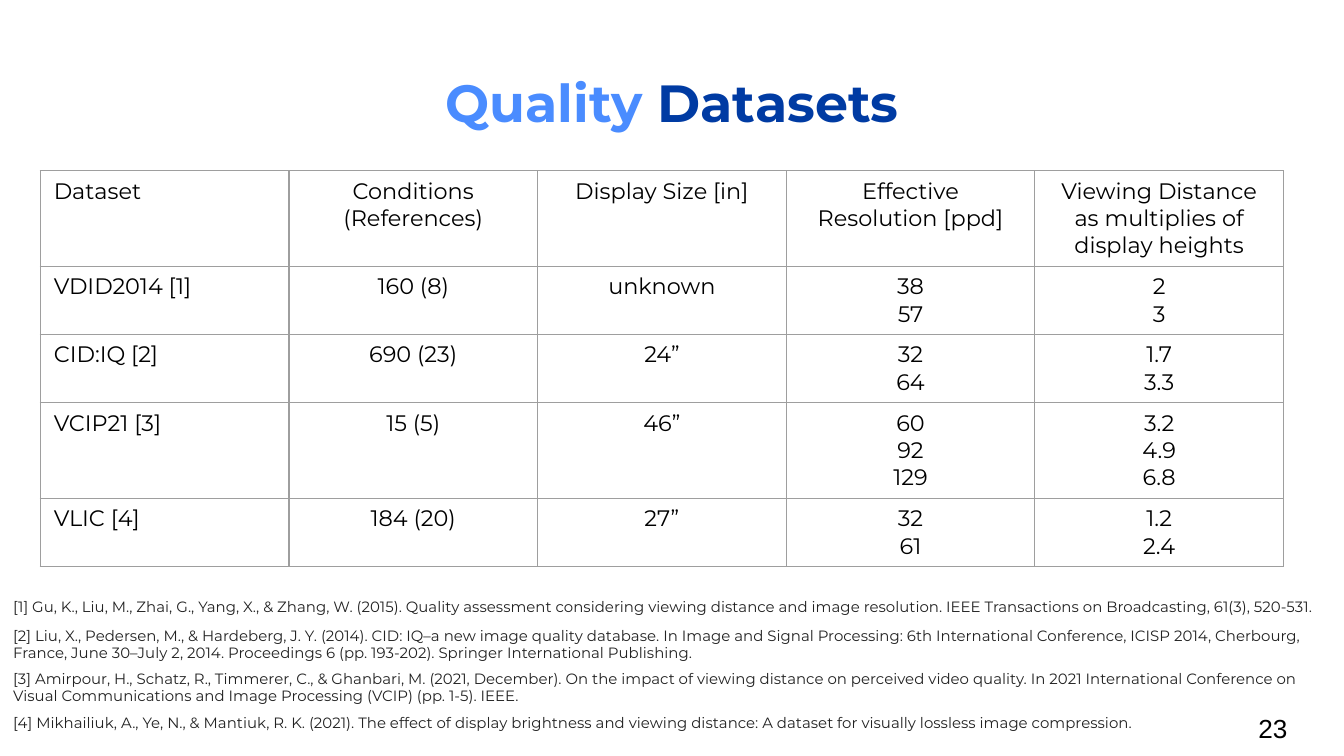
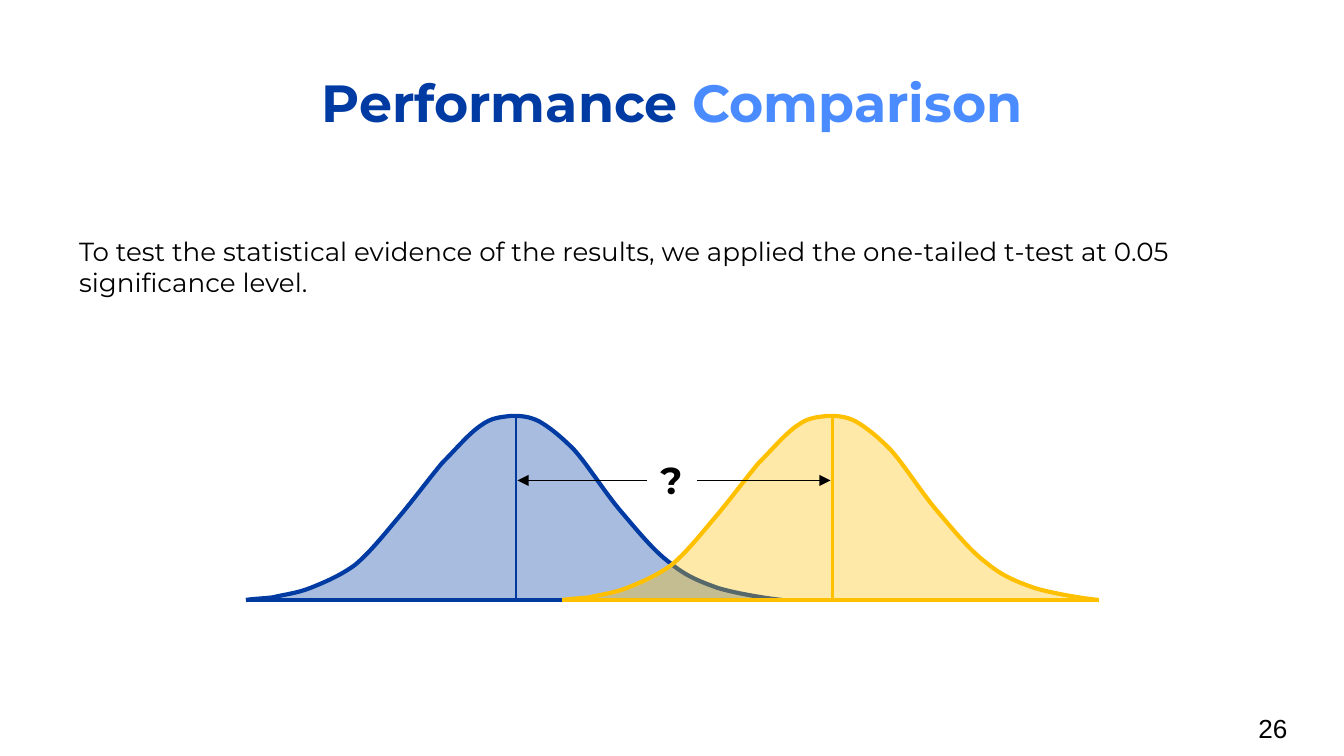
"""Build two slides: quality datasets and performance comparison."""
from dataclasses import dataclass
from typing import NamedTuple

from lxml.etree import SubElement
from pptx import Presentation
from pptx.dml.color import RGBColor as RGB
from pptx.enum.shapes import MSO_CONNECTOR as CONN
from pptx.enum.text import MSO_ANCHOR as ANCHOR, MSO_AUTO_SIZE as AUTO, PP_ALIGN as ALIGN
from pptx.oxml.ns import qn
from pptx.shapes.autoshape import Shape
from pptx.shapes.connector import Connector
from pptx.slide import Slide
from pptx.text.text import _Paragraph as Para
from pptx.util import Emu, Pt

PX = 4572


def px(n: int) -> Emu:
    return Emu(n * PX)


@dataclass(frozen=True)
class Theme:
    font: str = "Montserrat"
    number_font: str = "Arial"
    blue: str = "003BA3"
    deep_blue: str = "003A9F"
    sky: str = "4A8CFF"
    gold: str = "FFC000"
    black: str = "000000"
    ref_grey: str = "222222"
    grid_grey: str = "9E9E9E"
    title_size: int = 28
    mark_size: int = 20
    body_size: int = 14
    table_size: int = 12
    ref_size: int = 8
    grid_pt: float = 0.75
    curve_pt: float = 2.25
    mean_pt: float = 1.5
    arrow_pt: float = 1
    curve_alpha: int = 34


T = Theme()


class Box(NamedTuple):
    x: int
    y: int
    w: int
    h: int


class Run(NamedTuple):
    text: str
    size: int
    color: str = T.black
    bold: bool = False
    font: str = T.font


class Ref(NamedTuple):
    y: int
    h: int
    text: str


class Bell(NamedTuple):
    x: int
    color: str
    axis_color: str


SLIDE_W, SLIDE_H = 2000, 1125
TITLE_BOX = Box(157, 84, 1686, 126)
NUMBER_BOX = Box(1853, 1041, 120, 86)
BODY_BOX = Box(98, 330, 1756, 406)
MARK_BOX = Box(963, 671, 74, 88)
TABLE_BOX = Box(60, 254, 1850, 410)

DATASETS = [
    ("Dataset", "Conditions (References)", "Display Size [in]",
     "Effective Resolution [ppd]", "Viewing Distance as multiplies of display heights"),
    ("VDID2014 [1]", "160 (8)", "unknown", "38\n57", "2\n3"),
    ("CID:IQ [2]", "690 (23)", "24”", "32\n64", "1.7\n3.3"),
    ("VCIP21 [3]", "15 (5)", "46”", "60\n92\n129", "3.2\n4.9\n6.8"),
    ("VLIC [4]", "184 (20)", "27”", "32\n61", "1.2\n2.4"),
]

REFS = [
    Ref(880, 48, "[1] Gu, K., Liu, M., Zhai, G., Yang, X., & Zhang, W. (2015). Quality assessment "
        "considering viewing distance and image resolution. IEEE Transactions on Broadcasting, "
        "61(3), 520-531."),
    Ref(922, 74, "[2] Liu, X., Pedersen, M., & Hardeberg, J. Y. (2014). CID: IQ–a new image quality "
        "database. In Image and Signal Processing: 6th International Conference, ICISP 2014, "
        "Cherbourg, France, June 30–July 2, 2014. Proceedings 6 (pp. 193-202). "
        "Springer International Publishing."),
    Ref(986, 74, "[3] Amirpour, H., Schatz, R., Timmerer, C., & Ghanbari, M. (2021, December). On the "
        "impact of viewing distance on perceived video quality. In 2021 International Conference "
        "on Visual Communications and Image Processing (VCIP) (pp. 1-5). IEEE."),
    Ref(1052, 48, "[4] Mikhailiuk, A., Ye, N., & Mantiuk, R. K. (2021). The effect of display "
        "brightness and viewing distance: A dataset for visually lossless image compression."),
]

BASE_Y, PEAK_Y, BELL_W, MEAN_DX = 893, 621, 798, 402
BELLS = [Bell(366, T.blue, T.deep_blue), Bell(837, T.gold, T.gold)]
BELL_CURVE = [
    (12, 2), (24, 2), (40, 4), (56, 8), (76, 10), (96, 18),
    (116, 26), (140, 36), (162, 52), (184, 70), (206, 98), (228, 124),
    (250, 150), (272, 180), (292, 204), (314, 226), (332, 248), (350, 260),
    (366, 272), (380, 272), (394, 274), (408, 274), (420, 274), (436, 266),
    (450, 258), (466, 246), (488, 224), (508, 202), (534, 160), (558, 132),
    (582, 104), (606, 74), (630, 56), (654, 36), (674, 28), (702, 18),
    (728, 10), (776, 2), (798, 0),
]


def add_run(p: Para, run: Run) -> None:
    r = p.add_run()
    r.text = run.text
    r.font.name = run.font
    r.font.size = Pt(run.size)
    r.font.bold = run.bold
    r.font.color.rgb = RGB.from_string(run.color)


def add_text(s: Slide, box: Box, runs: list[Run], inset_y: int = 20,
             align: ALIGN = ALIGN.LEFT, anchor: ANCHOR = ANCHOR.TOP,
             wrap: bool = True, grow: bool = False) -> Shape:
    sp = s.shapes.add_textbox(*map(px, box))
    tf = sp.text_frame
    tf.word_wrap = wrap
    tf.auto_size = AUTO.SHAPE_TO_FIT_TEXT if grow else AUTO.NONE
    tf.vertical_anchor = anchor
    tf.margin_left = tf.margin_right = px(20)
    tf.margin_top = tf.margin_bottom = px(inset_y)
    p = tf.paragraphs[0]
    p.alignment = align
    for run in runs:
        add_run(p, run)
    return sp


def add_frame(s: Slide, title: list[tuple[str, str]], number: int) -> None:
    runs = [Run(text, T.title_size, color, True) for text, color in title]
    add_text(s, TITLE_BOX, runs, align=ALIGN.CENTER)
    add_text(s, NUMBER_BOX, [Run(str(number), T.body_size, font=T.number_font)],
             anchor=ANCHOR.MIDDLE)


def add_line(s: Slide, start: tuple[int, int], end: tuple[int, int],
             color: str, width: float) -> Connector:
    ln = s.shapes.add_connector(CONN.STRAIGHT, *map(px, start + end))
    ln.line.color.rgb = RGB.from_string(color)
    ln.line.width = Pt(width)
    SubElement(ln._element.spPr, qn("a:effectLst"))
    return ln


def add_arrow(s: Slide, source: Shape, site: int, start: tuple[int, int],
              end: tuple[int, int]) -> None:
    ln = add_line(s, start, end, T.black, T.arrow_pt)
    ln.begin_connect(source, site)
    SubElement(ln.line._get_or_add_ln(), qn("a:tailEnd"), type="triangle")


def add_bell(s: Slide, bell: Bell) -> None:
    fb = s.shapes.build_freeform(bell.x, BASE_Y, scale=PX)
    fb.add_line_segments([(bell.x + dx, BASE_Y - dy) for dx, dy in BELL_CURVE], close=False)
    sp = fb.convert_to_shape()
    outline = sp._element.spPr.find(".//" + qn("a:path"))
    steps = outline.findall(qn("a:lnTo"))
    for i in range(0, len(steps), 3):
        cubic = SubElement(outline, qn("a:cubicBezTo"))
        for step in steps[i:i + 3]:
            cubic.append(step[0])
            outline.remove(step)
    sp.shadow.inherit = False
    sp.fill.solid()
    sp.fill.fore_color.rgb = RGB.from_string(bell.color)
    color = sp._element.spPr.find(qn("a:solidFill"))[0]
    SubElement(color, qn("a:alpha"), val=str(T.curve_alpha * 1000))
    sp.line.color.rgb = RGB.from_string(bell.color)
    sp.line.width = Pt(T.curve_pt)
    mean_x = bell.x + MEAN_DX
    add_line(s, (bell.x, BASE_Y), (bell.x + BELL_W, BASE_Y), bell.axis_color, T.curve_pt)
    add_line(s, (mean_x, PEAK_Y), (mean_x, BASE_Y), bell.axis_color, T.mean_pt)


def add_dataset_table(s: Slide) -> None:
    tbl = s.shapes.add_table(len(DATASETS), len(DATASETS[0]), *map(px, TABLE_BOX)).table
    tbl.first_row = tbl.horz_banding = False
    for i, row in enumerate(DATASETS):
        for j, text in enumerate(row):
            cell = tbl.cell(i, j)
            tc_pr = cell._tc.get_or_add_tcPr()
            for side in ("lnL", "lnR", "lnT", "lnB"):
                ln = SubElement(tc_pr, qn(f"a:{side}"), w=str(int(Pt(T.grid_pt))))
                fill = SubElement(ln, qn("a:solidFill"))
                SubElement(fill, qn("a:srgbClr"), val=T.grid_grey)
            cell.fill.background()
            tf = cell.text_frame
            for k, line in enumerate(text.split("\n")):
                p = tf.add_paragraph() if k else tf.paragraphs[0]
                p.alignment = ALIGN.CENTER if j else ALIGN.LEFT
                add_run(p, Run(line, T.table_size))


def build_datasets(s: Slide) -> None:
    add_frame(s, [("Quality ", T.sky), ("Datasets", T.blue)], 23)
    add_dataset_table(s)
    for ref in REFS:
        add_text(s, Box(0, ref.y, SLIDE_W, ref.h), [Run(ref.text, T.ref_size, T.ref_grey)],
                 inset_y=10, grow=True)


def build_comparison(s: Slide) -> None:
    add_frame(s, [("Performance", T.blue), (" Comparison", T.sky)], 26)
    body = add_text(s, BODY_BOX, [Run(
        "To test the statistical evidence of the results, we applied the one-tailed t-test "
        "at 0.05 significance level.", T.body_size)])
    body.text_frame.paragraphs[0].space_after = Pt(16)
    for bell in BELLS:
        add_bell(s, bell)
    mark = add_text(s, MARK_BOX, [Run("?", T.mark_size, bold=True)],
                    inset_y=10, wrap=False, grow=True)
    mid_y = MARK_BOX.y + MARK_BOX.h // 2
    add_arrow(s, mark, 3, (MARK_BOX.x + MARK_BOX.w, mid_y), (1236, mid_y))
    add_arrow(s, mark, 1, (MARK_BOX.x, mid_y), (770, mid_y))


def main() -> None:
    prs = Presentation()
    prs.slide_width, prs.slide_height = px(SLIDE_W), px(SLIDE_H)
    for build in (build_datasets, build_comparison):
        build(prs.slides.add_slide(prs.slide_layouts[6]))
    prs.save("out.pptx")


if __name__ == "__main__":
    main()
